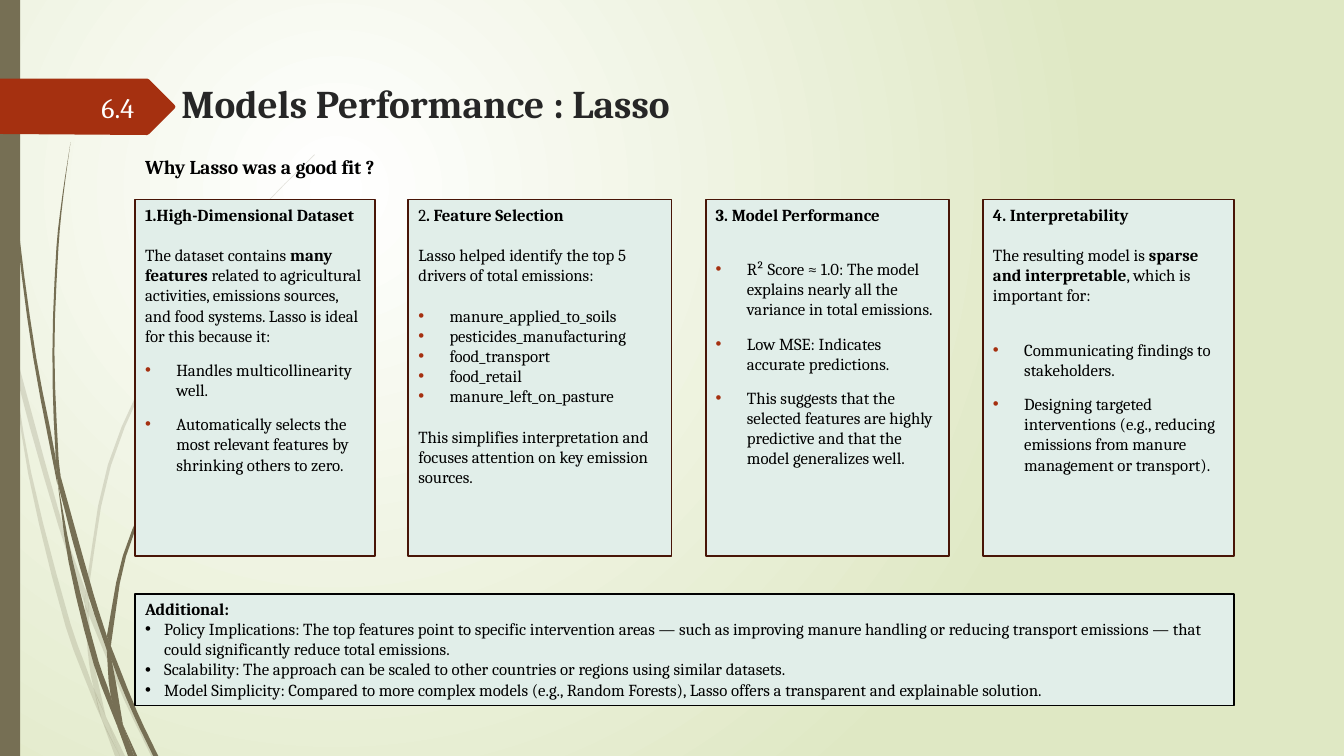
from lxml import etree
from pptx import Presentation
from pptx.dml.color import RGBColor
from pptx.enum.shapes import MSO_SHAPE
from pptx.enum.text import MSO_ANCHOR, MSO_AUTO_SIZE, PP_ALIGN
from pptx.oxml.ns import qn
from pptx.util import Inches, Pt

RECTANGLE = MSO_SHAPE.RECTANGLE
TOP, MIDDLE = MSO_ANCHOR.TOP, MSO_ANCHOR.MIDDLE
LEFT, RIGHT = PP_ALIGN.LEFT, PP_ALIGN.RIGHT
NO_AUTOFIT, GROW = MSO_AUTO_SIZE.NONE, MSO_AUTO_SIZE.SHAPE_TO_FIT_TEXT

FONT = "Cambria"
BLACK, OLIVE, RUST, MAROON, MINT = "000000", "766F54", "A53010", "481507", "E1EEE9"
CURVE_STEPS = 3

# Paragraph formats
PLAIN = {"space_before": Pt(0)}
NUMBERED = {**PLAIN, "number": "arabicPeriod"}
GAP = {"space_before": Pt(14.4)}
TIGHT = {**PLAIN, "bullet": RUST, "indent": 0.31}
TIGHT_FIRST = {**TIGHT, **GAP}
SPACED = {**TIGHT, "space_before": Pt(10)}
SPACED_FIRST = {**TIGHT, "space_before": Pt(24.4)}
NOTE = {**PLAIN, "bullet": BLACK, "indent": 0.19}

# Cards: left, width, paragraphs; double asterisks switch bold on and off
CARDS = [
    (1.34, 2.38, [
        (NUMBERED, "**High-Dimensional Dataset**"),
        (GAP, "The dataset contains **many features** related to agricultural activities, "
              "emissions sources, and food systems. Lasso is ideal for this because it:"),
        (SPACED, "Handles multicollinearity well."),
        (SPACED, "Automatically selects the most relevant features by shrinking others to zero."),
    ]),
    (9.75, 2.49, [
        (PLAIN, "**4. Interpretability**"),
        (GAP, "The resulting model is **sparse and interpretable**, which is important for:"),
        (SPACED_FIRST, "Communicating findings to stakeholders."),
        (SPACED, "Designing targeted interventions (e.g., reducing emissions from manure "
                 "management or transport)."),
    ]),
    (7, 2.41, [
        (PLAIN, "**3. Model Performance**"),
        (SPACED_FIRST, "R² Score ≈ 1.0: The model explains nearly all the variance in total emissions."),
        (SPACED, "Low MSE: Indicates accurate predictions."),
        (SPACED, "This suggests that the selected features are highly predictive "
                 "and that the model generalizes well."),
    ]),
    (4.05, 2.61, [
        (PLAIN, "2**. Feature Selection**"),
        (GAP, "Lasso helped identify the top 5 drivers of total emissions:"),
        (TIGHT_FIRST, "manure_applied_to_soils"),
        (TIGHT, "pesticides_manufacturing"),
        (TIGHT, "food_transport"),
        (TIGHT, "food_retail"),
        (TIGHT, "manure_left_on_pasture"),
        (GAP, "This simplifies interpretation and focuses attention on key emission sources."),
    ]),
]
ADDITIONAL = [
    (PLAIN, "**Additional:**"),
    (NOTE, "Policy Implications: The top features point to specific intervention areas — such as "
           "improving manure handling or reducing transport emissions — that could significantly "
           "reduce total emissions."),
    (NOTE, "Scalability: The approach can be scaled to other countries or regions using similar datasets."),
    (NOTE, "Model Simplicity: Compared to more complex models (e.g., Random Forests), "
           "Lasso offers a transparent and explainable solution."),
]

# Grass blades: left and right edge, each from top to bottom
PALE_BLADES = [
    ([(0, 2.99), (0.1, 3.44), (0.11, 3.5)], [(0, 2.82), (0.09, 3.22), (0.11, 3.5)]),
    ([(0.14, 3.45), (0.17, 3.76), (0.58, 5.22), (0.84, 5.99)],
     [(0.14, 3.45), (0.62, 5.2), (0.85, 5.86)]),
    ([(0.88, 6.1), (1.23, 6.94), (1.5, 7.5)], [(0.88, 5.96), (1.27, 6.92), (1.55, 7.5)]),
    ([(1.05, 7.11), (1.19, 7.5)], [(1.05, 7.11), (1.24, 7.5)]),
    ([(0.11, 3.5), (0.28, 4.7), (0.65, 6.21), (0.92, 6.93), (1.01, 7.14)],
     [(0.11, 3.5), (0.31, 4.69), (0.7, 6.19), (0.93, 6.83), (1.01, 7.14)]),
    ([(0.84, 5.99), (0.87, 6.46), (0.93, 6.83), (1.05, 7.11)],
     [(0.84, 5.99), (0.88, 6.1), (0.91, 6.46), (1.05, 7.11)]),
    ([(3.12, 1.53), (2.68, 1.97), (2.28, 2.44), (1.58, 3.48), (1.07, 4.61), (0.85, 5.84), (0.85, 5.86)],
     [(3.12, 1.54), (2.68, 1.98), (2.29, 2.45), (1.6, 3.49), (1.1, 4.62), (0.88, 5.84), (0.88, 5.96)]),
    ([(1.01, 7.14), (1.14, 7.5)], [(1.01, 7.14), (1.19, 7.5)]),
    ([(0.85, 5.86), (0.84, 5.99), (0.88, 6.1)], [(0.85, 5.86), (0.88, 5.96), (0.88, 6.1)]),
    ([(0.93, 6.83), (1.01, 7.14), (1.19, 7.5)], [(0.93, 6.83), (1.05, 7.11), (1.19, 7.5)]),
]
DARK_BLADES = [
    ([(0.03, 0), (0.04, 0.48), (0.07, 1.1), (0.17, 2.33), (0.33, 3.55), (0.57, 4.81)],
     [(0.04, 0), (0.05, 0.48), (0.08, 1.09), (0.19, 2.32), (0.36, 3.55), (0.55, 4.53), (0.57, 4.81)]),
    ([(0.6, 4.72), (0.64, 5.05), (0.88, 5.92), (1.06, 6.45)],
     [(0.6, 4.72), (0.93, 5.9), (1.06, 6.31)]),
    ([(1.1, 6.41), (1.11, 6.56), (1.32, 7.08), (1.52, 7.5)],
     [(1.1, 6.41), (1.36, 7.06), (1.57, 7.5)]),
    ([(0.57, 4.77), (0.68, 5.57), (0.93, 6.59), (1.17, 7.22)],
     [(0.57, 4.77), (0.72, 5.56), (0.98, 6.57), (1.1, 6.91), (1.17, 7.22)]),
    ([(0.7, 1.41), (0.62, 1.93), (0.56, 2.45), (0.52, 3.49), (0.55, 4.49), (0.6, 4.72)],
     [(0.7, 1.41), (0.63, 1.93), (0.58, 2.45), (0.54, 3.49), (0.58, 4.53), (0.6, 4.72)]),
    ([(1.22, 7.19), (1.33, 7.5)], [(1.22, 7.19), (1.36, 7.5)]),
    ([(0.55, 4.49), (0.57, 4.77), (0.64, 5.05)], [(0.55, 4.49), (0.6, 4.72), (0.64, 5.05)]),
    ([(2.6, 3.44), (2.31, 3.73), (2.04, 4.05), (1.56, 4.74), (1.22, 5.51), (1.06, 6.31)],
     [(2.61, 3.44), (2.31, 3.74), (2.05, 4.06), (1.58, 4.76), (1.25, 5.52), (1.11, 6.33), (1.1, 6.41)]),
    ([(1.17, 7.22), (1.27, 7.5)], [(1.17, 7.22), (1.31, 7.5)]),
    ([(1.06, 6.45), (1.1, 6.91), (1.22, 7.19)], [(1.06, 6.45), (1.11, 6.56), (1.22, 7.19)]),
    ([(1.06, 6.31), (1.06, 6.45), (1.11, 6.56)], [(1.06, 6.31), (1.1, 6.41), (1.11, 6.56)]),
    ([(1.1, 6.91), (1.17, 7.22), (1.3, 7.5)], [(1.1, 6.91), (1.22, 7.19), (1.33, 7.5)]),
]
BANNER = [(0, 0.78), (1.46, 0.78), (1.48, 0.79), (1.73, 1.04), (1.74, 1.06),
          (1.73, 1.08), (1.48, 1.33), (1.46, 1.34), (0, 1.33)]


def rgb(value):
    return RGBColor.from_string(value)


def paint(shape, fill, line=None):
    shape.shadow.inherit = False
    shape.fill.solid()
    shape.fill.fore_color.rgb = rgb(fill)
    if line:
        shape.line.color.rgb = rgb(line)
        shape.line.width = Pt(1.25)
    else:
        shape.line.fill.background()


def add_outline(page, points, fill, alpha=None):
    corners = [(Inches(x), Inches(y)) for x, y in points]
    builder = page.shapes.build_freeform(*corners[0])
    builder.add_line_segments(corners[1:], close=True)
    shape = builder.convert_to_shape()
    paint(shape, fill)
    if alpha:
        color = shape.element.spPr.find(".//" + qn("a:srgbClr"))
        etree.SubElement(color, qn("a:alpha"), val=str(alpha * 1000))


def smooth_edge(knots):
    """Cubic curve through the knots, with x as a function of y."""
    last = len(knots) - 1
    slopes = []
    for i in range(last + 1):
        (x0, y0), (x1, y1) = knots[max(i - 1, 0)], knots[min(i + 1, last)]
        slopes.append((x1 - x0) / (y1 - y0))
    curve = [knots[0]]
    for i in range(last):
        (x0, y0), (x1, y1) = knots[i], knots[i + 1]
        height = y1 - y0
        for step in range(1, CURVE_STEPS + 1):
            t = step / CURVE_STEPS
            x = (x0 + (x1 - x0) * t * t * (3 - 2 * t)
                 + height * t * (1 - t) * (slopes[i] * (1 - t) - slopes[i + 1] * t))
            curve.append((x, y0 + height * t))
    return curve


def add_blades(page, blades, alpha=None):
    for left, right in blades:
        add_outline(page, smooth_edge(left) + smooth_edge(right)[::-1], OLIVE, alpha)


def set_bullet(para, layout):
    props = para._p.get_or_add_pPr()
    if "bullet" in layout:
        indent = Inches(layout["indent"])
        props.set("marL", str(indent))
        props.set("indent", str(-indent))
        color = etree.SubElement(props, qn("a:buClr"))
        etree.SubElement(color, qn("a:srgbClr"), val=layout["bullet"])
        etree.SubElement(props, qn("a:buFont"), typeface="Arial")
        etree.SubElement(props, qn("a:buChar"), char="•")
    elif "number" in layout:
        etree.SubElement(props, qn("a:buAutoNum"), type=layout["number"])


def write(shape, paragraphs, size=12, color=BLACK, anchor=TOP, align=LEFT, fit=NO_AUTOFIT):
    frame = shape.text_frame
    for name, value in {"word_wrap": True, "auto_size": fit, "vertical_anchor": anchor}.items():
        setattr(frame, name, value)
    for number, (layout, text) in enumerate(paragraphs):
        para = frame.add_paragraph() if number else frame.paragraphs[0]
        para.alignment = align
        for name in ("space_before", "line_spacing"):
            if name in layout:
                setattr(para, name, layout[name])
        set_bullet(para, layout)
        for part, words in enumerate(text.split("**")):
            if words:
                span = para.add_run()
                span.text = words
                for name, value in {"name": FONT, "size": Pt(size), "bold": part % 2 == 1}.items():
                    setattr(span.font, name, value)
                span.font.color.rgb = rgb(color)


def add_panel(page, place, fill, line=None, paragraphs=(), **style):
    panel = page.shapes.add_shape(RECTANGLE, *map(Inches, place))
    paint(panel, fill, line)
    write(panel, paragraphs, **style)


def add_label(page, place, paragraphs, **style):
    write(page.shapes.add_textbox(*map(Inches, place)), paragraphs, **style)


def set_background(page):
    fill = page.background.fill
    fill.gradient()
    for stop, color, position in zip(fill.gradient_stops, ("FFFFFF", "DFE8C4"), (0, 1)):
        stop.color.rgb = rgb(color)
        stop.position = position
    gradient = page.element.find(".//" + qn("a:gradFill"))
    gradient.remove(gradient.find(qn("a:lin")))
    circle = etree.SubElement(gradient, qn("a:path"), path="circle")
    etree.SubElement(circle, qn("a:fillToRect"), l="50000", t="50000", r="100000", b="100000")


def main():
    deck = Presentation()
    deck.slide_width, deck.slide_height = Inches(13.33), Inches(7.5)
    page = deck.slides.add_slide(deck.slide_layouts[5])

    # Backdrop
    set_background(page)
    add_blades(page, PALE_BLADES, alpha=20)
    add_blades(page, DARK_BLADES)
    add_panel(page, (0, 0, 0.2, 7.5), OLIVE)
    add_outline(page, BANNER, RUST)

    # Headings
    title = page.shapes.title
    title.left, title.top, title.width, title.height = map(Inches, (1.7, 0.74, 6.97, 0.71))
    write(title, [(PLAIN, "**Models Performance : Lasso**")], size=28, color="262626")
    add_label(page, (1.34, 1.44, 3.71, 0.45),
              [({"space_before": Pt(10), "line_spacing": 1.2}, "**Why Lasso was a good fit ?**")], size=14)

    # Cards and closing notes
    for left, width, paragraphs in CARDS:
        add_panel(page, (left, 1.98, width, 3.54), MINT, MAROON, paragraphs)
    add_panel(page, (1.34, 5.89, 10.9, 1.11), MINT, BLACK, ADDITIONAL, fit=GROW)

    # Section number
    add_label(page, (0.58, 0.86, 0.85, 0.4), [(PLAIN, "6.4")],
              size=20, color="FEFFFF", anchor=MIDDLE, align=RIGHT)

    deck.save("out.pptx")


if __name__ == "__main__":
    main()
